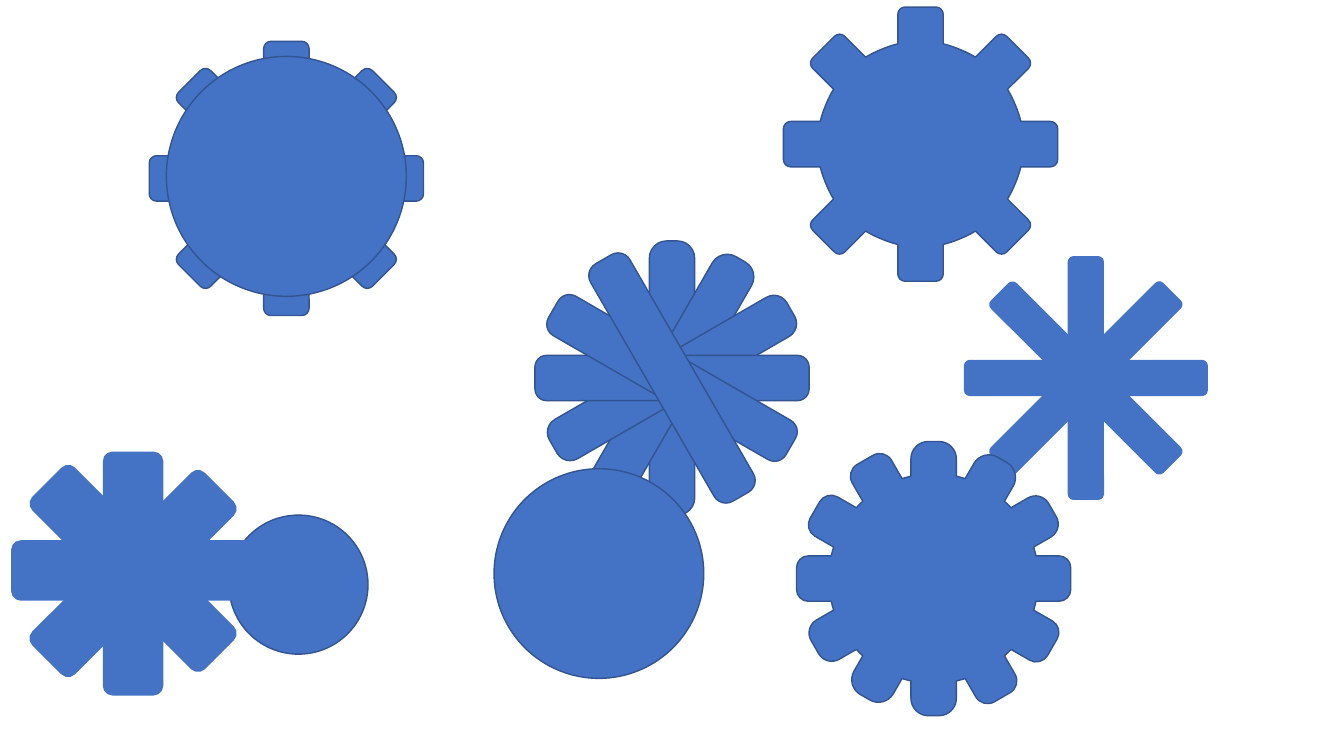
import math

from pptx import Presentation
from pptx import util as u
from pptx.dml.color import RGBColor
from pptx.enum import shapes
from pptx.oxml import ns
from lxml import etree

BLUE = RGBColor(0x44, 0x72, 0xC4)
NAVY = RGBColor(0x32, 0x54, 0x91)
EVEN_CORNERS = [0.16] * 4
FAN_CORNERS = [0.38, 0.38, 0.33, 0.26, 0.29, 0.3]
TOOTH_WIDTH = 0.45
TIP_RADIUS = 1.36
OUTLINE_SIZE = 9
BEND_POSITIONS = (2, 5, 8)
BEND_PULL = 0.55


def paint(sp, outlined=True):
    sp.shadow.inherit = False
    sp.fill.solid()
    sp.fill.fore_color.rgb = BLUE
    if outlined:
        sp.line.color.rgb = NAVY
        sp.line.width = u.Pt(1)
    else:
        sp.line.fill.background()


def add_disc(s, left, top, size):
    sp = s.shapes.add_shape(shapes.MSO_SHAPE.OVAL, u.Inches(left),
                            u.Inches(top), u.Inches(size), u.Inches(size))
    paint(sp)


def add_spokes(s, left, tops, width, height, corners, outlined):
    for i, (top, corner) in enumerate(zip(tops, corners)):
        sp = s.shapes.add_shape(shapes.MSO_SHAPE.ROUNDED_RECTANGLE,
                                u.Inches(left), u.Inches(top),
                                u.Inches(width), u.Inches(height))
        sp.adjustments[0] = corner
        sp.rotation = i * 180 / len(corners)
        paint(sp, outlined)


def tooth_outline(body_radius, corner, step):
    half = TOOTH_WIDTH / 2
    radius = corner * TOOTH_WIDTH
    inset, shoulder = half - radius, TIP_RADIUS - radius
    root = math.asin(half / body_radius)
    base = body_radius * math.cos(root)
    bend = body_radius / math.cos(step / 2 - root)
    return [(-half, base), (-half, shoulder), (-half, TIP_RADIUS),
            (-inset, TIP_RADIUS), (inset, TIP_RADIUS), (half, TIP_RADIUS),
            (half, shoulder), (half, base),
            (bend * math.sin(step / 2), bend * math.cos(step / 2))]


def round_bends(sp):
    segments = list(sp.element.iter(ns.qn("a:moveTo"), ns.qn("a:lnTo")))
    corners = [(int(seg[0].get("x")), int(seg[0].get("y"))) for seg in segments]
    for i in range(1, len(segments) - 1):
        if i % OUTLINE_SIZE not in BEND_POSITIONS:
            continue
        start, bend, end = corners[i - 1:i + 2]
        curve = etree.Element(ns.qn("a:cubicBezTo"))
        for anchor in (start, end):
            x, y = (round(a + BEND_PULL * (b - a)) for a, b in zip(anchor, bend))
            etree.SubElement(curve, ns.qn("a:pt"), x=str(x), y=str(y))
        curve.append(segments[i + 1][0])
        outline = segments[i].getparent()
        outline.replace(segments[i], curve)
        outline.remove(segments[i + 1])


def add_gear(s, cx, cy, body_radius, corners, rotation=0):
    step = math.pi / len(corners)
    points = []
    for i, corner in enumerate(corners * 2):
        sin, cos = math.sin(i * step), math.cos(i * step)
        points += [(u.Inches(cx + x * cos + y * sin),
                    u.Inches(cy + x * sin - y * cos))
                   for x, y in tooth_outline(body_radius, corner, step)]
    builder = s.shapes.build_freeform(*points[0])
    builder.add_line_segments(points[1:] + points[:1], close=True)
    sp = builder.convert_to_shape()
    round_bends(sp)
    sp.rotation = rotation
    paint(sp)


def main():
    prs = Presentation()
    prs.slide_width, prs.slide_height = u.Inches(13.33), u.Inches(7.5)
    s = prs.slides.add_slide(prs.slide_layouts[6])
    add_disc(s, 2.27, 5.11, 1.38)
    add_spokes(s, 6.44, [2.39] * 6, TOOTH_WIDTH, 2.72, FAN_CORNERS, True)
    add_spokes(s, 10.59, [2.54] * 4, 0.36, 2.42, EVEN_CORNERS, False)
    add_spokes(s, 1.02, [4.48, 4.48, 4.45, 4.43], 0.6, 2.42, EVEN_CORNERS, False)
    add_gear(s, 2.84, 1.77, 1, EVEN_CORNERS, 135)
    add_disc(s, 1.65, 0.56, 2.38)
    add_gear(s, 9.13, 1.43, 1.02, EVEN_CORNERS)
    add_disc(s, 4.9, 4.65, 2.08)
    add_gear(s, 9.26, 5.74, 1.04, FAN_CORNERS)
    prs.save("out.pptx")


if __name__ == "__main__":
    main()
